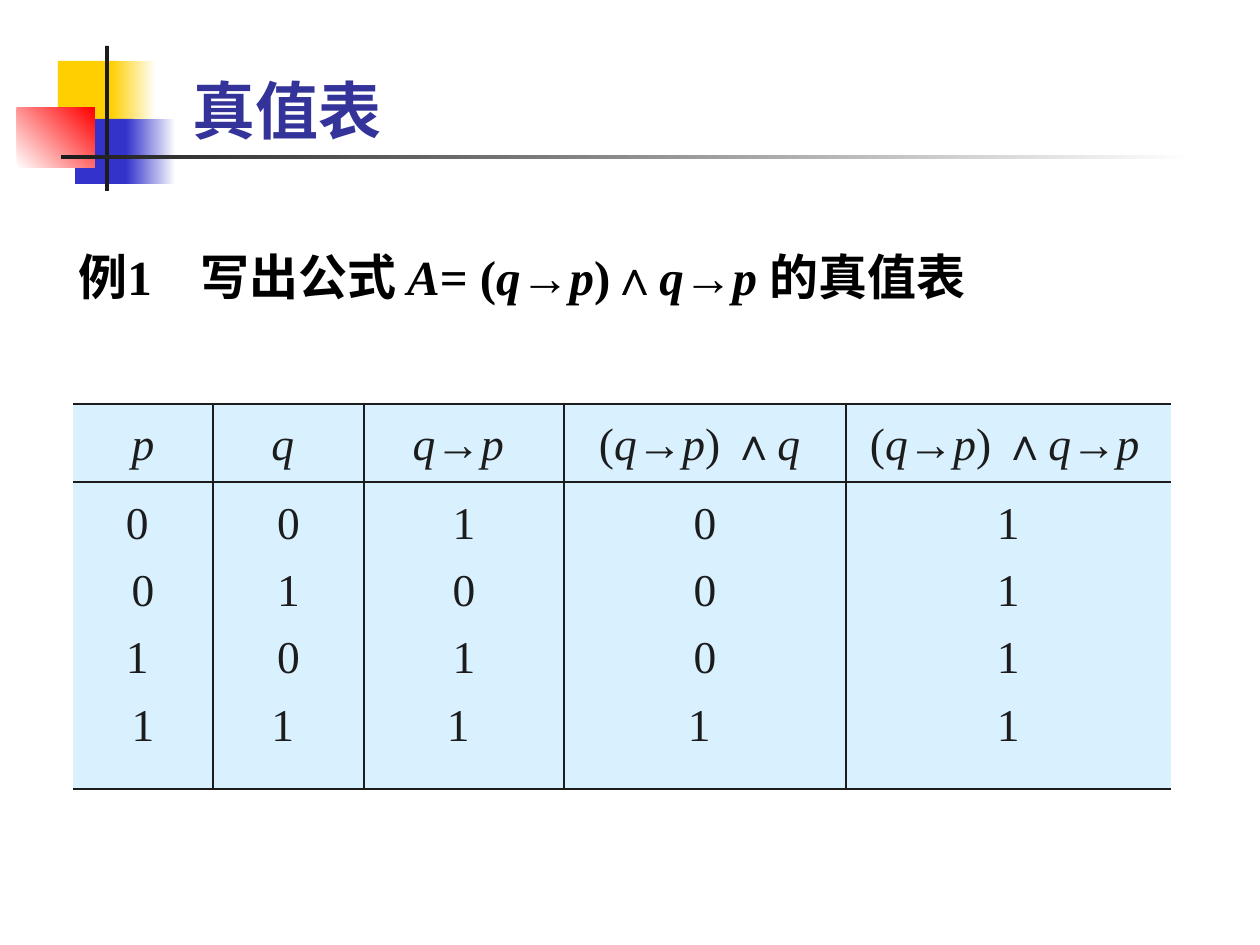
from lxml import etree
from pptx import Presentation
from pptx.dml.color import RGBColor
from pptx.enum.shapes import MSO_SHAPE
from pptx.enum.text import MSO_ANCHOR, PP_ALIGN
from pptx.oxml import parse_xml
from pptx.oxml.ns import nsdecls, qn
from pptx.util import Pt

PX = 914400 // 126
COLORS = {"yellow": "FFCF01", "blue": "3333CC", "red": "FF0000", "white": "FFFFFF",
          "ink": "1C1C1C", "title": "333399", "black": "000000", "cell": "D9F1FF"}
SERIF, HAN = "Times New Roman", "Noto Sans CJK SC"

# left, top, width, height, colours from start to end, gradient angle
ORNAMENTS = [
    ((58, 61, 60, 65), ["yellow"], 0),
    ((111, 61, 45, 65), ["yellow", "white"], 0),
    ((75, 119, 58, 65), ["blue"], 0),
    ((126, 119, 50, 65), ["blue", "white"], 0),
    ((17, 108, 78, 60), ["white", "red"], 315),
    ((105, 46, 4, 145), ["ink"], 0),
    ((61, 155, 1134, 4), ["ink", "white"], 0),
]
TITLE = "真值表"
# Text between asterisks is italic
EXAMPLE = "例1\t写出公式 *A*= (*q*→*p*)∧*q*→*p *的真值表"
HEADERS = ["*p*", "*q *", "*q*→*p *", "(*q*→*p*) ∧*q*", "(*q*→*p*) ∧*q*→*p*"]
VALUES = [
    ["0 ", "0", "1", "0", "1"],
    ["0", "1", "0", "0", "1"],
    ["1 ", "0", "1", "0", "1"],
    ["1", "1 ", "1 ", "1 ", "1"],
]
COLUMN_WIDTHS = [140, 151, 200, 282, 325]
ROW_HEIGHTS = [78, 307]
HEADER_INDENTS = {3: 35, 4: 24}  # left-aligned header cells


def px(*lengths):
    return [length * PX for length in lengths]


def write(para, text, size, color, bold=False, font=SERIF, align=None, spacing=None, before=0):
    """Fill a paragraph, switching italics at every asterisk."""
    para.alignment = align
    para.line_spacing = spacing
    para.space_before = Pt(before)
    for index, part in enumerate(text.split("*")):
        if not part:
            continue
        span = para.add_run()
        span.text = part
        span.font.size = Pt(size)
        span.font.bold = bold
        span.font.italic = index % 2 == 1
        span.font.name = font
        span.font.color.rgb = RGBColor.from_string(COLORS[color])
        east_asian = etree.SubElement(span.font._element, qn("a:ea"))
        east_asian.set("typeface", HAN)


def place(shape, left, top, width, height):
    shape.left, shape.top, shape.width, shape.height = px(left, top, width, height)


def add_ornament(page, bounds, colors, angle):
    shape = page.shapes.add_shape(MSO_SHAPE.RECTANGLE, *px(*bounds))
    shape.shadow.inherit = False
    shape.line.fill.background()
    if len(colors) == 1:
        shape.fill.solid()
        shape.fill.fore_color.rgb = RGBColor.from_string(COLORS[colors[0]])
        return
    shape.fill.gradient()
    # python-pptx counts angles the other way round from the file format
    shape.fill.gradient_angle = -angle % 360
    for stop, color, position in zip(shape.fill.gradient_stops, colors, (0, 1)):
        stop.color.rgb = RGBColor.from_string(COLORS[color])
        stop.position = position


def add_title(page):
    title = page.shapes.title
    place(title, 180, 26, 1134, 127)
    title.text_frame.vertical_anchor = MSO_ANCHOR.BOTTOM
    para = title.text_frame.paragraphs[0]
    write(para, TITLE, 36, "title", bold=True, font=HAN, align=PP_ALIGN.LEFT)
    shadow = parse_xml(
        f'<a:effectLst {nsdecls("a")}><a:outerShdw dist="25400" dir="2700000">'
        f'<a:srgbClr val="{COLORS["black"]}"/></a:outerShdw></a:effectLst>')
    para.runs[0].font._element.find(qn("a:solidFill")).addnext(shadow)


def add_example(page):
    box = page.shapes.add_textbox(*px(66, 234, 1091, 110))
    box.text_frame.word_wrap = True
    para = box.text_frame.paragraphs[0]
    tabs = etree.SubElement(para._p.get_or_add_pPr(), qn("a:tabLst"))
    etree.SubElement(tabs, qn("a:tab"), pos=str(122 * PX), algn="l")
    write(para, EXAMPLE, 28, "black", bold=True, spacing=1.1)


def set_borders(cell, sides):
    properties = cell._tc.get_or_add_tcPr()
    for index, side in enumerate("LRTB"):
        paint = (f'<a:solidFill><a:srgbClr val="{COLORS["ink"]}"/></a:solidFill>'
                 if side in sides else "<a:noFill/>")
        properties.insert(index, parse_xml(
            f'<a:ln{side} {nsdecls("a")} w="12700">{paint}</a:ln{side}>'))


def add_truth_table(page):
    frame = page.shapes.add_table(2, len(HEADERS), *px(
        73, 404, sum(COLUMN_WIDTHS), sum(ROW_HEIGHTS)))
    table = frame.table
    for row, height in zip(table.rows, ROW_HEIGHTS):
        row.height = height * PX
    for column, width in enumerate(COLUMN_WIDTHS):
        table.columns[column].width = width * PX
        sides = "TB" + "L" * (column > 0) + "R" * (column < len(HEADERS) - 1)
        for row, lines in enumerate([[HEADERS[column]], [line[column] for line in VALUES]]):
            cell = table.cell(row, column)
            cell.fill.solid()
            cell.fill.fore_color.rgb = RGBColor.from_string(COLORS["cell"])
            set_borders(cell, sides)
            align = PP_ALIGN.CENTER
            if row == 0 and column in HEADER_INDENTS:
                align = PP_ALIGN.LEFT
                cell.margin_left = HEADER_INDENTS[column] * PX
                cell.margin_right = 0
            for index, line in enumerate(lines):
                para = cell.text_frame.paragraphs[0] if index == 0 else cell.text_frame.add_paragraph()
                write(para, line, 26, "ink", align=align, spacing=1.2, before=4 if index else 0)


def main():
    deck = Presentation()
    deck.slide_width, deck.slide_height = px(1260, 945)
    page = deck.slides.add_slide(deck.slide_layouts[5])
    for bounds, colors, angle in ORNAMENTS:
        add_ornament(page, bounds, colors, angle)
    add_title(page)
    add_example(page)
    add_truth_table(page)
    deck.save("out.pptx")


if __name__ == "__main__":
    main()
